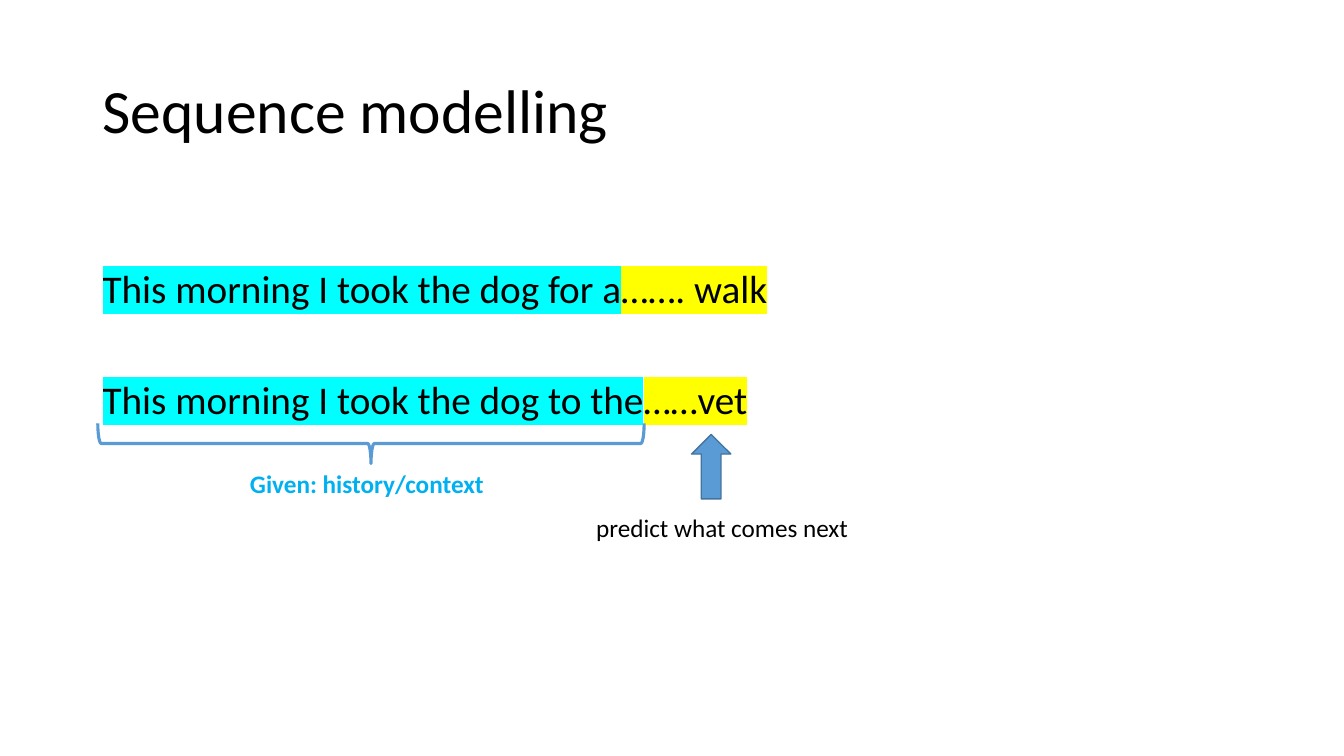
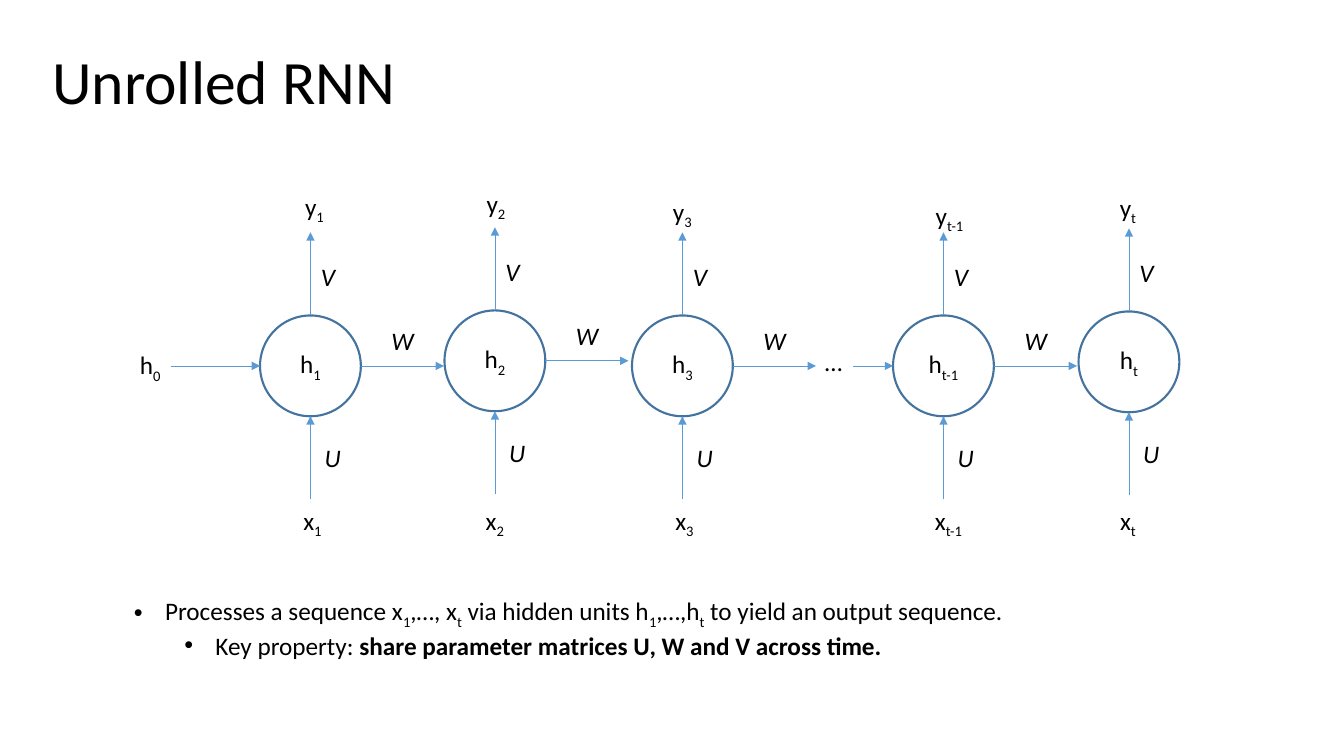
import pptx
import pptx.util
import pptx.dml.color
import pptx.enum.shapes
import pptx.enum.text
import pptx.oxml
import pptx.oxml.ns
import lxml.etree

# Shared look
FONT = "Calibri"
INK, BLUE, EDGE, SKY = "000000", "5B9BD5", "43739E", "00B0F0"
CYAN, GOLD, WHITE = "00FFFF", "FFFF00", "FFFFFF"
SHAPE = pptx.enum.shapes.MSO_SHAPE
MID = pptx.enum.text.MSO_ANCHOR.MIDDLE
TOP = pptx.enum.text.MSO_ANCHOR.TOP
CENTER = pptx.enum.text.PP_ALIGN.CENTER
LEFT = pptx.enum.text.PP_ALIGN.LEFT

# Square grid: ten cells to the inch
COLS, ROWS = 133.33, 75

# Unrolled steps: index, node column and row, x column, y column and row
STEPS = [
    ("1", 30.8, 36.3, 31.0, 31.2, 20.5),
    ("2", 49.1, 35.8, 49.1, 49.2, 20.2),
    ("3", 67.7, 36.3, 67.9, 67.7, 21.0),
    ("t-1", 93.6, 36.3, 94.1, 94.2, 21.4),
    ("t", 112.0, 35.9, 111.9, 111.9, 20.6),
]
RAD, REACH = 5, 13.25


def cells(*vals):
    return [pptx.util.Inches(val / 10) for val in vals]


def color(code):
    return pptx.dml.color.RGBColor.from_string(code)


def node(tag, **attrs):
    elem = pptx.oxml.parse_xml(
        f'<a:{tag} xmlns:a="http://schemas.openxmlformats.org/drawingml/2006/main"/>')
    for key, val in attrs.items():
        elem.set(key, str(val))
    return elem


# Text
def style(run, size=18, ink=INK, bold=False, ital=False, mark=None, sub=False):
    font = run.font
    font.name, font.size = FONT, pptx.util.Pt(size)
    font.bold, font.italic = bold, ital
    font.color.rgb = color(ink)
    props = run._r.get_or_add_rPr()
    if sub:
        props.set("baseline", "-25000")
    if mark:
        light = node("highlight")
        light.append(node("srgbClr", val=mark))
        props.find(pptx.oxml.ns.qn("a:latin")).addprevious(light)


def write(para, text, **look):
    """Add text; parts between underscores are set as subscripts."""
    for num, part in enumerate(text.split("_")):
        if part:
            run = para.add_run()
            run.text = part
            style(run, sub=num % 2 == 1, **look)


def frame(slide, left, top, wide, high, wrap=True, anchor=TOP):
    box = slide.shapes.add_textbox(*cells(left, top, wide, high))
    text = box.text_frame
    text.word_wrap, text.vertical_anchor = wrap, anchor
    return text


def title(slide, left, top, text):
    para = frame(slide, left, top, 115, 14.5, anchor=MID).paragraphs[0]
    para.line_spacing = 0.9
    write(para, text, size=44)


def label(slide, col, row, text, wide=5, **look):
    """Place one line of text centred on a grid point."""
    box = frame(slide, col - wide / 2, row - 2, wide, 4, wrap=False)
    box.paragraphs[0].alignment = CENTER
    write(box.paragraphs[0], text, **look)


def bullet(para, left):
    hang = pptx.util.Inches(0.31)
    props = para._p.get_or_add_pPr()
    props.set("marL", str(pptx.util.Inches(left)))
    props.set("indent", str(-hang))
    props.append(node("buFont", typeface="Arial"))
    props.append(node("buChar", char="•"))


# Shapes
def shape(slide, kind, left, top, wide, high, fill=None, edge=EDGE, line=1):
    item = slide.shapes.add_shape(kind, *cells(left, top, wide, high))
    item.shadow.inherit = False
    if fill:
        item.fill.solid()
        item.fill.fore_color.rgb = color(fill)
    else:
        item.fill.background()
    item.line.color.rgb = color(edge)
    item.line.width = pptx.util.Pt(line)
    return item


def arrow(slide, *ends):
    kind = pptx.enum.shapes.MSO_CONNECTOR.STRAIGHT
    link = slide.shapes.add_connector(kind, *cells(*ends))
    link.line.color.rgb = color(BLUE)
    link.line.width = pptx.util.Pt(0.5)
    props = link._element.spPr
    props.find(pptx.oxml.ns.qn("a:ln")).append(node("tailEnd", type="triangle"))
    props.append(node("effectLst"))


def unit(slide, index, col, row):
    """Draw a hidden unit with its input and output arrows."""
    disc = shape(slide, SHAPE.OVAL, col - RAD, row - RAD, 2 * RAD, 2 * RAD,
                 fill=WHITE, line=1.5)
    text = disc.text_frame
    text.vertical_anchor, text.word_wrap = MID, False
    text.paragraphs[0].alignment = CENTER
    write(text.paragraphs[0], f"h_{index}_")
    arrow(slide, col, row - RAD, col, row - REACH)
    arrow(slide, col, row + REACH, col, row + RAD)
    label(slide, col + 1.75, row - 8.9, "V", ital=True)
    label(slide, col + 2.2, row + 9.1, "U", ital=True)


# Slides
def model(slide):
    title(slide, 9.2, 4, "Sequence modelling")
    text = frame(slide, 9.2, 25.7, 115, 20)
    lines = [("This morning I took the dog for a", "……. walk"),
             ("This morning I took the dog to the", "……vet")]
    for num, (given, guess) in enumerate(lines):
        para = text.add_paragraph() if num else text.paragraphs[0]
        para.space_before = pptx.util.Pt(46 * num)
        write(para, given, size=28, mark=CYAN)
        write(para, guess, size=28, mark=GOLD)
    label(slide, 36.4, 48, "Given: history/context", wide=25.4, ink=SKY, bold=True)
    label(slide, 71.65, 52.3, "predict what comes next", wide=27.3)
    shape(slide, SHAPE.UP_ARROW, 68.6, 43.1, 3.9, 6.4, fill=BLUE)
    brace = shape(slide, SHAPE.RIGHT_BRACE, 34.8, 16.9, 4, 54.2, edge=BLUE, line=2.25)
    brace.rotation = 90


def chain(slide):
    title(slide, 4.2, 1.1, "Unrolled RNN")
    for index, col, row, xcol, ycol, yrow in STEPS:
        unit(slide, index, col, row)
        label(slide, xcol, 51.6, f"x_{index}_")
        label(slide, ycol, yrow, f"y_{index}_")
    # Recurrent links
    for index, col, row, *rest in STEPS[:-1]:
        arrow(slide, col + RAD, row, col + REACH, row)
        label(slide, col + 9.15, row - 2.5, "W", ital=True)
    arrow(slide, 17, 36.3, 25.8, 36.3)
    arrow(slide, 84.6, 36.3, 88.6, 36.3)
    label(slide, 14.9, 36.2, "h_0_")
    label(slide, 82.7, 35.9, "…")
    # Summary
    text = frame(slide, 12.3, 58.6, 112.6, 7.1)
    first, second = text.paragraphs[0], text.add_paragraph()
    bullet(first, 0.31)
    write(first, "Processes a sequence x_1_,…, x_t_ via hidden units "
                 "h_1_,…,h_t_ to yield an output sequence.")
    second.level = 1
    bullet(second, 0.81)
    write(second, "Key property: ")
    write(second, "share parameter matrices U, W and V across time.", bold=True)


def main():
    deck = pptx.Presentation()
    deck.slide_width, deck.slide_height = cells(COLS, ROWS)
    for draw in (model, chain):
        draw(deck.slides.add_slide(deck.slide_layouts[6]))
    deck.save("out.pptx")


if __name__ == "__main__":
    main()
